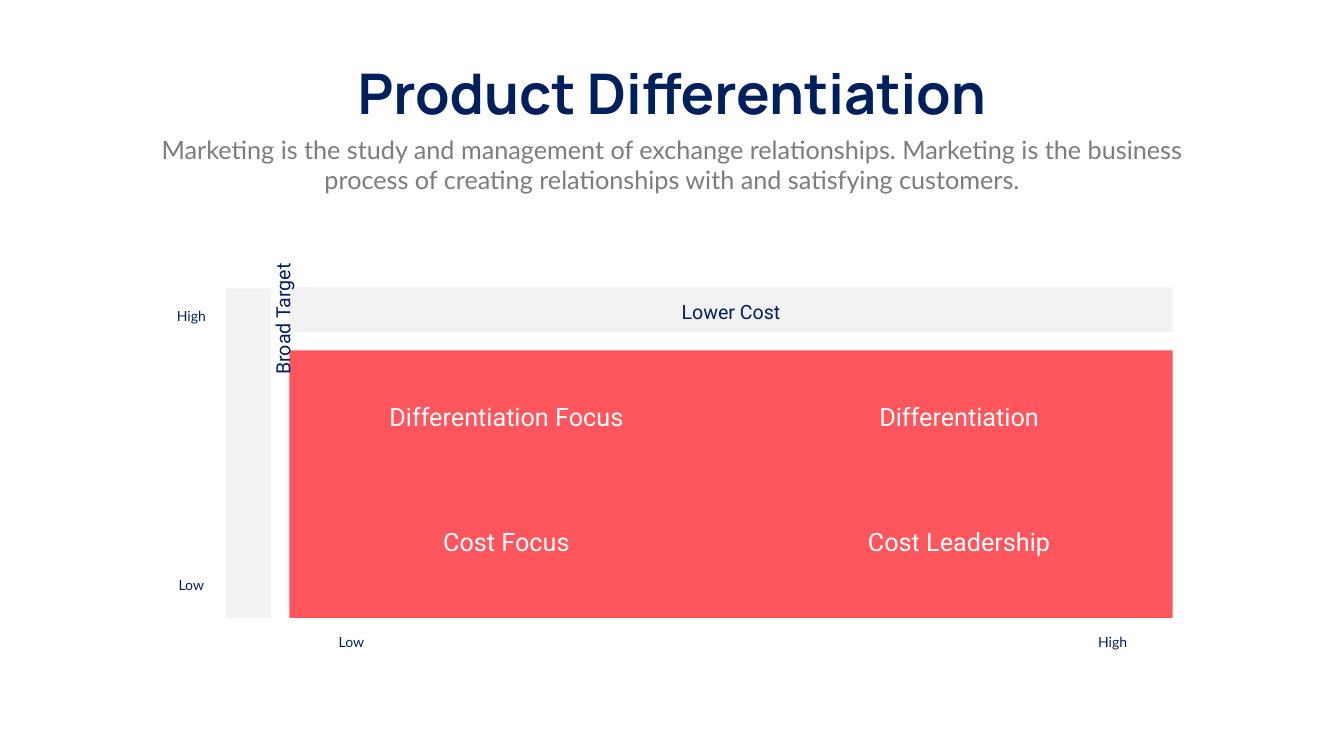
import pptx
import pptx.util
import pptx.dml.color
import pptx.enum.shapes
import pptx.enum.text

PX = 9144  # EMU per px, 100 px to the inch
NAVY = pptx.dml.color.RGBColor(0x00, 0x1F, 0x5D)
GRAY = pptx.dml.color.RGBColor(0x7D, 0x7B, 0x7E)
LIGHT = pptx.dml.color.RGBColor(0xF2, 0xF2, 0xF2)
CORAL = pptx.dml.color.RGBColor(0xFF, 0x55, 0x5C)
WHITE = pptx.dml.color.RGBColor(0xFF, 0xFF, 0xFF)

prs = pptx.Presentation()
prs.slide_width = 2666 * PX
prs.slide_height = 1500 * PX
s = prs.slides.add_slide(prs.slide_layouts[6])


def add_text(text, x, y, w, h, size, font, color, wrap=True):
    """Add a centred, single-style text box and return it."""
    sp = s.shapes.add_textbox(x * PX, y * PX, w * PX, h * PX)
    tf = sp.text_frame
    tf.word_wrap = wrap
    tf.text = text
    p = tf.paragraphs[0]
    p.alignment = pptx.enum.text.PP_ALIGN.CENTER
    r = p.runs[0]
    r.font.size = pptx.util.Pt(size)
    r.font.name = font
    r.font.color.rgb = color
    return sp


# Heading
title = add_text("Product Differentiation", 656, 112, 1354, 145, 80, "Manrope", NAVY, wrap=False)
title.text_frame.paragraphs[0].runs[0].font.bold = True
add_text("Marketing is the study and management of exchange relationships. "
         "Marketing is the business process of creating relationships with "
         "and satisfying customers.", 292, 261, 2082, 131, 36, "Lato", GRAY)

# Matrix panel, left bar and top bar
for x, y, w, h, color in [
    (574, 695, 1752, 531, CORAL),
    (449, 572, 89, 654, LIGHT),
    (574, 570, 1752, 89, LIGHT),
]:
    sp = s.shapes.add_shape(pptx.enum.shapes.MSO_SHAPE.RECTANGLE, x * PX, y * PX, w * PX, h * PX)
    sp.shadow.inherit = False
    sp.fill.solid()
    sp.fill.fore_color.rgb = color
    sp.line.fill.background()

# Quadrants
quadrants = [("Differentiation Focus", "Differentiation"), ("Cost Focus", "Cost Leadership")]
for row, names in enumerate(quadrants):
    for col, name in enumerate(names):
        add_text(name, 746 + 898 * col, 792 + 248 * row, 517, 71, 36, "Roboto", WHITE)

# Axis titles
target = add_text("Broad Target", 428, 600, 265, 66, 28, "Roboto", NAVY)
target.rotation = 270
target.text_frame.vertical_anchor = pptx.enum.text.MSO_ANCHOR.MIDDLE
add_text("Lower Cost", 1269, 591, 362, 48, 28, "Roboto", NAVY)

# Axis ends
for text, x, y, w in [
    ("High", 340, 606, 79),
    ("Low", 340, 1138, 79),
    ("Low", 653, 1253, 88),
    ("High", 2163, 1253, 88),
]:
    add_text(text, x, y, w, 44, 20, "Lato", NAVY, wrap=False)

prs.save("out.pptx")
